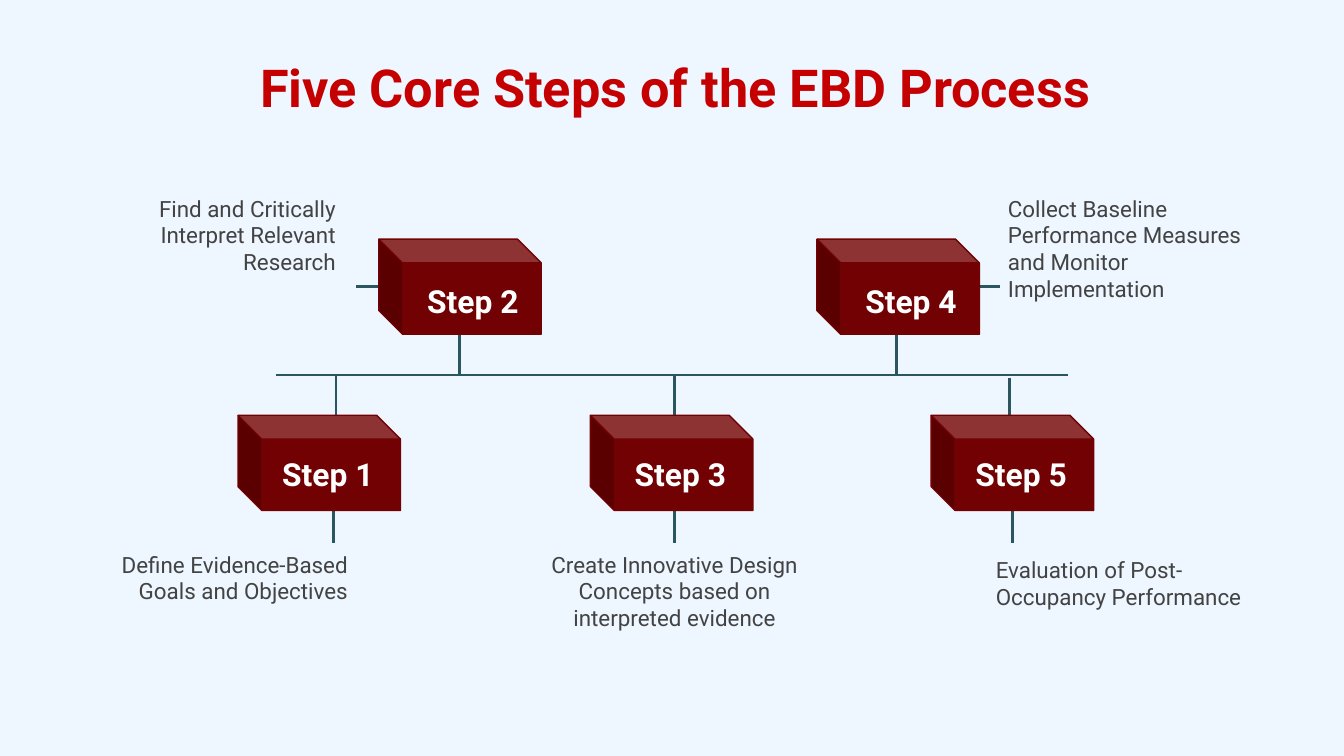
"""Build a slide showing the five core steps of the EBD process along a rail."""
from dataclasses import dataclass

import pptx
import pptx.dml.color
import pptx.enum.shapes
import pptx.enum.text
import pptx.oxml.ns
import pptx.shapes.base
import pptx.slide
import pptx.text.text
import pptx.util
from lxml import etree

Cm = pptx.util.Cm
RGBColor = pptx.dml.color.RGBColor
Align = pptx.enum.text.PP_ALIGN
Anchor = pptx.enum.text.MSO_ANCHOR

BACKGROUND = RGBColor(0xEE, 0xF6, 0xFF)
TITLE_RED = RGBColor(0xC5, 0x00, 0x00)
CUBE_RED = RGBColor(0x71, 0x01, 0x02)
LINE_TEAL = RGBColor(0x2B, 0x55, 0x5F)
CAPTION_GRAY = RGBColor(0x43, 0x43, 0x43)
WHITE = RGBColor(0xFF, 0xFF, 0xFF)

FONT = "Roboto"
CUBE_WIDTH, CUBE_HEIGHT = 3.07, 1.8
LABEL_WIDTH, LABEL_HEIGHT = 2.72, 1.3
CAPTION_WIDTH, CAPTION_HEIGHT = 5.18, 3.0
RAIL_LEFT, RAIL_RIGHT, RAIL_Y = 5.21, 20.19, 7.09


@dataclass(frozen=True)
class Row:
    """Vertical places shared by the cubes on one side of the rail."""
    cube_top: float
    label_dx: float
    label_dy: float


@dataclass(frozen=True)
class Link:
    """A straight line between two points in centimetres."""
    x1: float
    y1: float
    x2: float
    y2: float


@dataclass(frozen=True)
class Step:
    """One step with its cube, caption and links."""
    label: str
    row: Row
    cube_left: float
    caption: str
    caption_left: float
    caption_top: float
    align: Align
    links: tuple[Link, ...]


UPPER = Row(4.52, 0.42, 0.52)
LOWER = Row(7.85, 0.34, 0.45)


def stem_above(x: float) -> Link:
    """Link an upper cube down to the rail."""
    return Link(x, 6.22, x, RAIL_Y)


def stem_below(x: float, top: float = RAIL_Y) -> Link:
    """Link the rail down to a lower cube."""
    return Link(x, top, x, 7.95)


def tail(x: float) -> Link:
    """Link a lower cube down to its caption."""
    return Link(x, 9.6, x, 10.26)


def tick(x: float) -> Link:
    """Link an upper cube sideways to its caption."""
    return Link(x, 5.41, x + 0.53, 5.41)


STEPS = (
    Step("Step 1", LOWER, 4.5, "Define Evidence-Based Goals and Objectives",
         1.65, 10.16, Align.RIGHT, (stem_below(6.35), tail(6.3))),
    Step("Step 2", UPPER, 7.16, "Find and Critically Interpret Relevant Research",
         1.42, 3.43, Align.RIGHT, (stem_above(8.69), tick(6.73))),
    Step("Step 3", LOWER, 11.16, "Create Innovative Design Concepts based on interpreted evidence",
         10.16, 10.16, Align.CENTER, (stem_below(12.75), tail(12.75))),
    Step("Step 4", UPPER, 15.44, "Collect Baseline Performance Measures and Monitor Implementation",
         18.8, 3.43, Align.LEFT, (stem_above(16.94), tick(18.36))),
    Step("Step 5", LOWER, 17.6, "Evaluation of Post-Occupancy Performance",
         18.57, 10.26, Align.LEFT, (stem_below(19.08, 7.14), tail(19.14))),
)


def draw_link(page: pptx.slide.Slide, link: Link) -> None:
    """Draw a teal line without a shadow."""
    connector = page.shapes.add_connector(
        pptx.enum.shapes.MSO_CONNECTOR.STRAIGHT,
        Cm(link.x1), Cm(link.y1), Cm(link.x2), Cm(link.y2))
    connector.line.color.rgb = LINE_TEAL
    connector.line.width = pptx.util.Pt(1.5)
    etree.SubElement(connector.element.spPr, pptx.oxml.ns.qn("a:effectLst"))


def draw_cube(page: pptx.slide.Slide, step: Step) -> None:
    """Draw a cube mirrored to show its left side."""
    cube = page.shapes.add_shape(
        pptx.enum.shapes.MSO_SHAPE.CUBE, Cm(step.cube_left), Cm(step.row.cube_top),
        Cm(CUBE_WIDTH), Cm(CUBE_HEIGHT))
    cube.adjustments[0] = 0.25
    cube.shadow.inherit = False
    cube.fill.solid()
    cube.fill.fore_color.rgb = CUBE_RED
    cube.line.color.rgb = CUBE_RED
    cube.line.width = pptx.util.Pt(0.75)
    cube.element.spPr.find(pptx.oxml.ns.qn("a:xfrm")).set("flipH", "1")


def write(box: pptx.shapes.base.BaseShape, text: str, size: float, color: RGBColor,
          bold: bool, align: Align, anchor: Anchor) -> None:
    """Fill a box with one formatted run."""
    frame: pptx.text.text.TextFrame = box.text_frame
    frame.word_wrap = True
    frame.auto_size = pptx.enum.text.MSO_AUTO_SIZE.NONE
    frame.vertical_anchor = anchor
    frame.margin_left = frame.margin_right = Cm(0.25)
    frame.margin_top = frame.margin_bottom = Cm(0.25)
    para = frame.paragraphs[0]
    para.alignment = align
    span = para.add_run()
    span.text = text
    span.font.name = FONT
    span.font.size = pptx.util.Pt(size)
    span.font.bold = bold
    span.font.color.rgb = color


def draw_caption(page: pptx.slide.Slide, step: Step) -> None:
    """Write what happens in a step."""
    box = page.shapes.add_textbox(
        Cm(step.caption_left), Cm(step.caption_top), Cm(CAPTION_WIDTH), Cm(CAPTION_HEIGHT))
    write(box, step.caption, 12, CAPTION_GRAY, False, step.align, Anchor.TOP)


def draw_label(page: pptx.slide.Slide, step: Step) -> None:
    """Write the step's name on the front of its cube."""
    box = page.shapes.add_textbox(
        Cm(step.cube_left + step.row.label_dx), Cm(step.row.cube_top + step.row.label_dy),
        Cm(LABEL_WIDTH), Cm(LABEL_HEIGHT))
    write(box, step.label, 17, WHITE, True, Align.CENTER, Anchor.MIDDLE)


def main() -> None:
    """Build and save the deck."""
    deck = pptx.Presentation()
    deck.slide_width, deck.slide_height = Cm(25.4), Cm(14.29)
    page = deck.slides.add_slide(deck.slide_layouts[5])
    page.background.fill.solid()
    page.background.fill.fore_color.rgb = BACKGROUND

    title = page.shapes.title
    title.left, title.top, title.width, title.height = Cm(2.06), Cm(0.79), Cm(21.39), Cm(1.6)
    write(title, "Five Core Steps of the EBD Process", 28, TITLE_RED, True,
          Align.CENTER, Anchor.TOP)

    for step in STEPS:
        for link in step.links:
            draw_link(page, link)
    for step in STEPS:
        draw_cube(page, step)
        draw_caption(page, step)
        draw_label(page, step)
    draw_link(page, Link(RAIL_LEFT, RAIL_Y, RAIL_RIGHT, RAIL_Y))
    deck.save("out.pptx")


if __name__ == "__main__":
    main()
